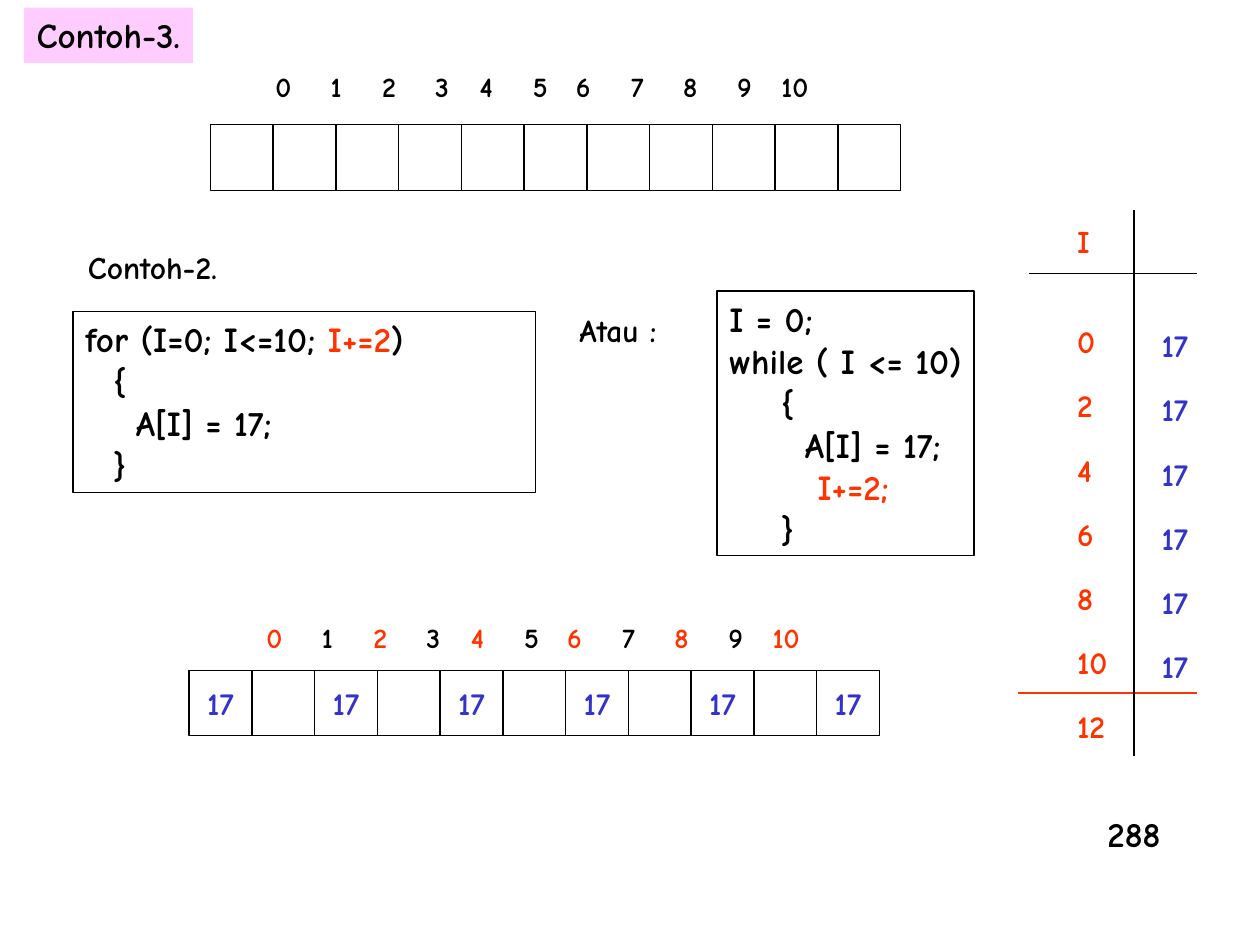
from dataclasses import dataclass

from lxml.etree import SubElement
from pptx import Presentation
from pptx.dml.color import RGBColor
from pptx.enum.shapes import MSO_CONNECTOR, MSO_SHAPE
from pptx.enum.text import MSO_ANCHOR, MSO_AUTO_SIZE, PP_ALIGN
from pptx.oxml.ns import qn
from pptx.util import Inches, Pt


@dataclass(frozen=True)
class Theme:
    """Font, colours and type sizes of the slide."""

    font: str = "Comic Neue"
    ink: str = "000000"
    accent: str = "FF3300"
    value: str = "3333CC"
    title_fill: str = "FFCCFF"
    code_size: int = 20
    text_size: int = 18
    index_size: int = 16
    line_width: float = 0.75


THEME = Theme()
CELL_WIDTH, CELL_HEIGHT, CELL_PITCH = 0.5, 0.52, 0.498
INDEX_STOPS = (0.14, 0.56, 0.98, 1.4, 1.75, 2.18, 2.52, 2.95, 3.37, 3.8, 4.2)
FOR_LOOP = [
    (0, ["for (I=0; I<=10; ", ("I+=2", THEME.accent), ")"]),
    (0.22, ["{"]),
    (0.4, ["A[I] = 17;"]),
    (0.22, ["}"]),
]
WHILE_LOOP = [
    (0, ["I = 0;"]),
    (0, ["while ( I <= 10)"]),
    (0.41, ["{"]),
    (0.6, ["A[I] = 17;"]),
    (0.7, [("I+=2;", THEME.accent)]),
    (0.41, ["}"]),
]


def write_text(shape, lines, size=THEME.text_size, color=THEME.ink, wrap=False,
               align=PP_ALIGN.LEFT, anchor=MSO_ANCHOR.TOP, spacing=None):
    """Write (indent, runs) lines; a run is a string or a (string, colour) pair."""
    frame = shape.text_frame
    frame.word_wrap = wrap
    frame.auto_size = MSO_AUTO_SIZE.NONE
    frame.vertical_anchor = anchor
    frame.margin_left = frame.margin_right = Inches(0.1)
    frame.margin_top = frame.margin_bottom = Inches(0.05)
    for number, (indent, runs) in enumerate(lines):
        paragraph = frame.add_paragraph() if number else frame.paragraphs[0]
        paragraph.alignment = align
        paragraph.line_spacing = spacing
        if indent:
            properties = paragraph._p.get_or_add_pPr()
            properties.set("marL", str(Inches(indent)))
            properties.set("indent", "0")
        for item in runs:
            text, run_color = (item, color) if isinstance(item, str) else item
            run = paragraph.add_run()
            run.text = text
            run.font.name = THEME.font
            run.font.size = Pt(size)
            run.font.bold = True
            run.font.color.rgb = RGBColor.from_string(run_color)
    return frame.paragraphs


def add_label(slide, left, top, width, height, lines, **text_format):
    """Add a text box and return its paragraphs."""
    box = slide.shapes.add_textbox(Inches(left), Inches(top), Inches(width), Inches(height))
    return write_text(box, lines, **text_format)


def add_box(slide, left, top, width, height, lines=(), **text_format):
    """Add an outlined, unfilled rectangle with optional text."""
    box = slide.shapes.add_shape(MSO_SHAPE.RECTANGLE, Inches(left), Inches(top),
                                 Inches(width), Inches(height))
    box.shadow.inherit = False
    box.fill.background()
    box.line.color.rgb = RGBColor.from_string(THEME.ink)
    box.line.width = Pt(THEME.line_width)
    write_text(box, lines, **text_format)


def add_line(slide, start, end, color=THEME.ink):
    """Add a straight rule between two points."""
    line = slide.shapes.add_connector(MSO_CONNECTOR.STRAIGHT, *map(Inches, start + end))
    line.line.color.rgb = RGBColor.from_string(color)
    line.line.width = Pt(THEME.line_width)
    SubElement(line._element.spPr, qn("a:effectLst"))


def add_array(slide, left, top, values):
    """Add a row of array cells, one for each value."""
    for number, value in enumerate(values):
        lines = [(0, [value])] if value else []
        add_box(slide, left + number * CELL_PITCH, top, CELL_WIDTH, CELL_HEIGHT, lines,
                color=THEME.value, align=PP_ALIGN.CENTER, anchor=MSO_ANCHOR.MIDDLE)


def add_indices(slide, left, top, even_color):
    """Add the index row, with every number centred on its tab stop."""
    runs = [(f"\t{number}", THEME.ink if number % 2 else even_color)
            for number in range(len(INDEX_STOPS))]
    paragraph = add_label(slide, left, top, 4.6, 0.37, [(0, runs)],
                          size=THEME.index_size, wrap=True)[0]
    tabs = SubElement(paragraph._p.get_or_add_pPr(), qn("a:tabLst"))
    for stop in INDEX_STOPS:
        SubElement(tabs, qn("a:tab"), pos=str(Inches(stop)), algn="ctr")


def add_trace(slide):
    """Add the trace of I and the stored values, with its rules."""
    counters = [(0, [text]) for text in ["I", *map(str, range(0, 13, 2))]]
    paragraphs = add_label(slide, 8.45, 1.71, 0.44, 4.27, counters,
                           color=THEME.accent, spacing=1.7)
    paragraphs[0].line_spacing = 1.0
    paragraphs[1].space_before = Pt(20.7)
    add_line(slide, (8.17, 2.17), (9.5, 2.17))
    add_line(slide, (8.08, 5.5), (9.5, 5.5), THEME.accent)
    add_line(slide, (9, 1.67), (9, 6))
    add_label(slide, 9.12, 2.33, 0.41, 3.16, [(0, ["17"])] * 6,
              color=THEME.value, spacing=1.7)


def add_title(slide, text):
    """Place and format the title placeholder."""
    title = slide.shapes.title
    title.left, title.top = Inches(0.19), Inches(0.06)
    title.width, title.height = Inches(1.34), Inches(0.44)
    title.fill.solid()
    title.fill.fore_color.rgb = RGBColor.from_string(THEME.title_fill)
    write_text(title, [(0, [text])], size=THEME.code_size)


def main():
    """Build the slide and save it."""
    presentation = Presentation()
    presentation.slide_width, presentation.slide_height = Inches(10), Inches(7.5)
    slide = presentation.slides.add_slide(presentation.slide_layouts[5])
    add_title(slide, "Contoh-3.")
    add_indices(slide, 2.01, 0.5, THEME.ink)
    add_array(slide, 1.67, 0.99, [""] * 11)
    add_label(slide, 0.6, 1.92, 1.23, 0.4, [(0, ["Contoh-2."])])
    add_box(slide, 0.58, 2.47, 3.67, 1.44, FOR_LOOP, size=THEME.code_size, wrap=True)
    add_label(slide, 4.5, 2.42, 0.81, 0.4, [(0, ["Atau :"])])
    add_box(slide, 5.69, 2.31, 2.04, 2.1, WHILE_LOOP, size=THEME.code_size)
    add_indices(slide, 1.94, 4.88, THEME.accent)
    add_array(slide, 1.5, 5.32, ["" if number % 2 else "17" for number in range(11)])
    add_trace(slide)
    add_label(slide, 8.69, 6.4, 0.62, 0.44, [(0, ["288"])], size=THEME.code_size)
    presentation.save("out.pptx")


if __name__ == "__main__":
    main()
